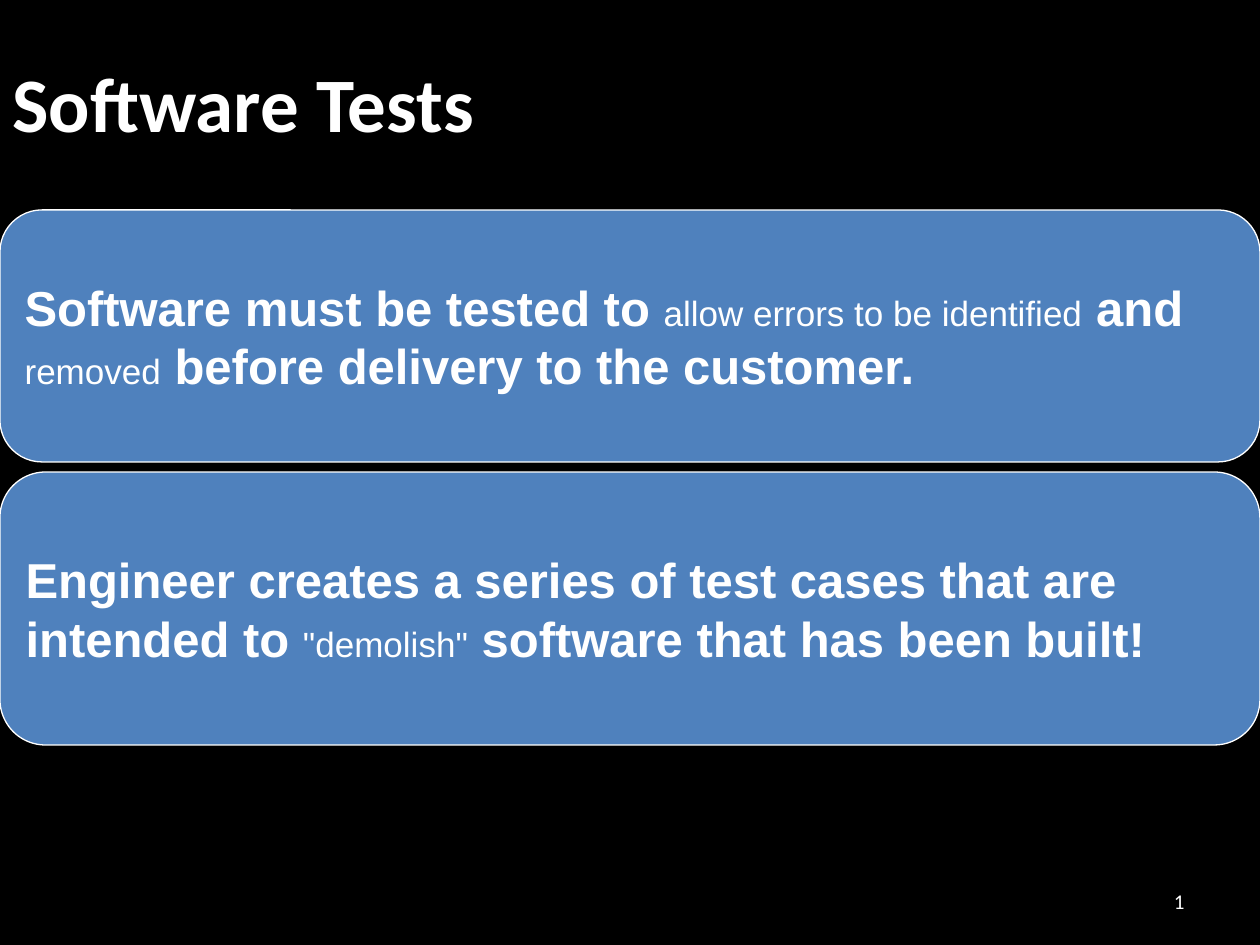
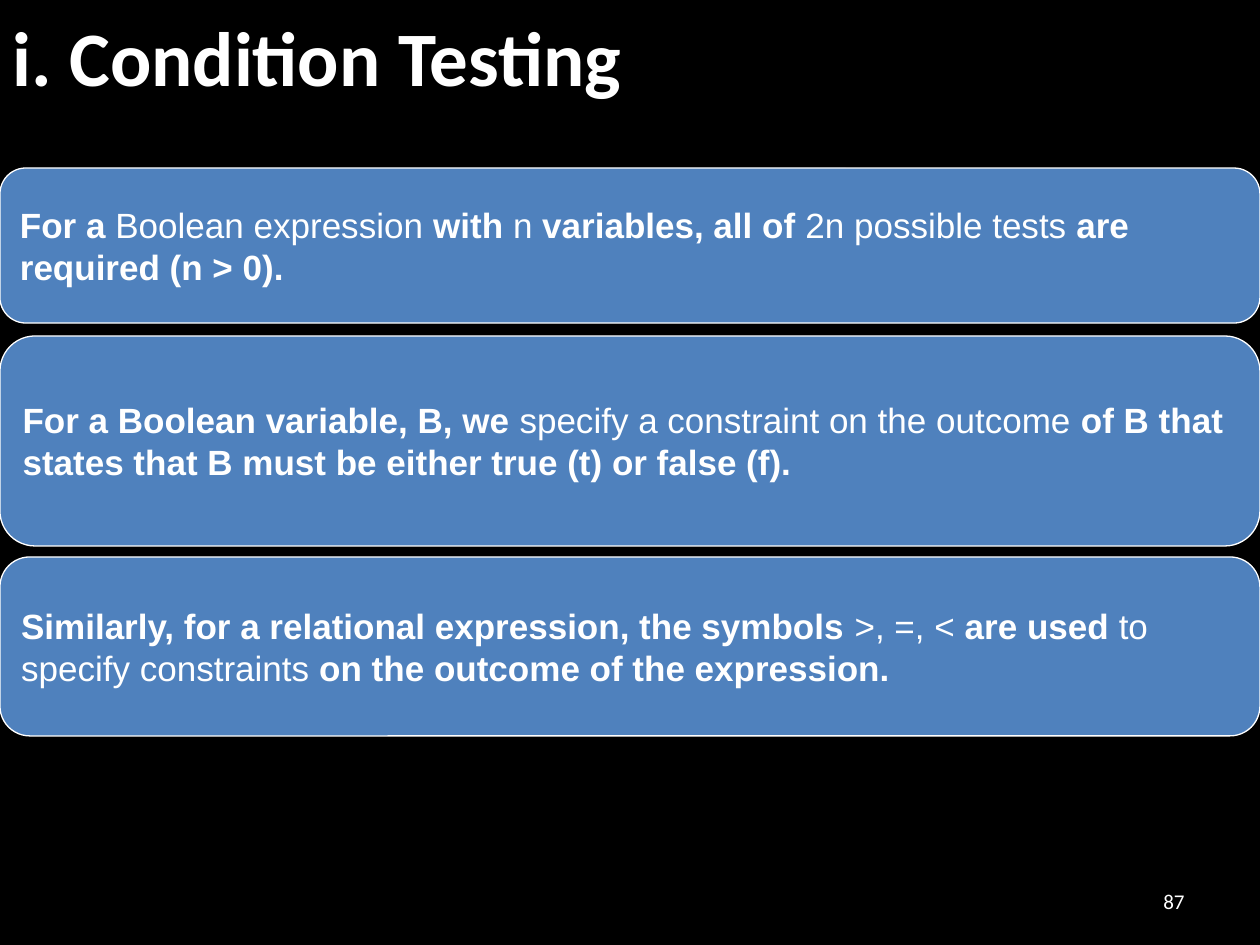
import dataclasses

import pptx
import pptx.dml.color
import pptx.enum.shapes
import pptx.enum.text
import pptx.util


@dataclasses.dataclass(frozen=True)
class Theme:
    """Colours, fonts and type sizes shared by the slides."""
    ground: str = "000000"
    panel: str = "4F81BD"
    ink: str = "FFFFFF"
    heading_font: str = "Calibri"
    body_font: str = "Arial"
    title_size: int = 44
    large_size: int = 28
    text_size: int = 20
    number_size: int = 12
    line_width: float = 0.75


THEME = Theme()
PX = 914400 / 126
SLIDE_BOX = (0, 0, 1260, 945)
TITLE_BOX = (0, 0, 1071, 203)
NUMBER_BOX = (903, 876, 294, 50)

SLIDES = [
    dict(title="Software Tests", raised=False, number="1", bold_size=THEME.large_size, panels=[
        (210, 252, ["Software must be tested to ", "allow errors to be identified", " and ",
                    "removed", " before delivery to the customer."]),
        (472, 273, ["Engineer creates a series of test cases that are intended to ",
                    "\"demolish\"", " software that has been built!"]),
    ]),
    dict(title="i. Condition Testing", raised=True, number="87", bold_size=THEME.text_size, panels=[
        (168, 155, ["For a ", "Boolean expression", " with ", "n", " variables, all of ",
                    "2n possible tests", " are required (n > 0)."]),
        (336, 210, ["For a Boolean variable, B, we ", "specify a constraint on the outcome",
                    " of B that states that B must be either true (t) or false (f)."]),
        (557, 179, ["Similarly, for a relational expression, the symbols ", ">, =, <",
                    " are used ", "to specify constraints",
                    " on the outcome of the expression."]),
    ]),
]


def emu(box):
    """Turn px lengths into EMU."""
    return [pptx.util.Emu(round(n * PX)) for n in box]


def rgb(colour):
    """Return the colour object of a hex string."""
    return pptx.dml.color.RGBColor.from_string(colour)


def add_run(p, text, font, size, bold=False):
    """Add one formatted run to a paragraph."""
    r = p.add_run()
    r.text = text
    r.font.name = font
    r.font.size = pptx.util.Pt(size)
    r.font.bold = bold
    r.font.color.rgb = rgb(THEME.ink)


def start_text(sp, align):
    """Prepare a wrapped, vertically centred frame and return its paragraph."""
    tf = sp.text_frame
    tf.word_wrap = True
    tf.auto_size = pptx.enum.text.MSO_AUTO_SIZE.NONE
    tf.vertical_anchor = pptx.enum.text.MSO_ANCHOR.MIDDLE
    p = tf.paragraphs[0]
    p.alignment = align
    return p


def add_title(s, box, text, raised):
    """Fill the title placeholder, raised by half a line if asked."""
    sp = s.shapes.title
    sp.left, sp.top, sp.width, sp.height = emu(box)
    p = start_text(sp, pptx.enum.text.PP_ALIGN.LEFT)
    add_run(p, text, THEME.heading_font, THEME.title_size, True)
    if raised:
        p.add_line_break()


def add_number(s, box, text):
    """Write the page number at the right of its box."""
    sp = s.shapes.add_textbox(*emu(box))
    p = start_text(sp, pptx.enum.text.PP_ALIGN.RIGHT)
    add_run(p, text, THEME.heading_font, THEME.number_size)


def add_panel(s, box, parts, bold_size):
    """Draw a rounded panel whose text alternates bold and regular parts."""
    sp = s.shapes.add_shape(pptx.enum.shapes.MSO_SHAPE.ROUNDED_RECTANGLE, *emu(box))
    sp.shadow.inherit = False
    sp.fill.solid()
    sp.fill.fore_color.rgb = rgb(THEME.panel)
    sp.line.color.rgb = rgb(THEME.ink)
    sp.line.width = pptx.util.Pt(THEME.line_width)
    p = start_text(sp, pptx.enum.text.PP_ALIGN.LEFT)
    for i, part in enumerate(parts):
        bold = i % 2 == 0
        add_run(p, part, THEME.body_font, bold_size if bold else THEME.text_size, bold)


def add_panel_slide(prs, title, raised, number, bold_size, panels):
    """Build a slide of full-width panels under a title."""
    s = prs.slides.add_slide(prs.slide_layouts.get_by_name("Title Only"))
    add_title(s, TITLE_BOX, title, raised)
    add_number(s, NUMBER_BOX, number)
    left, _, width, _ = SLIDE_BOX
    for top, height, parts in panels:
        add_panel(s, (left, top, width, height), parts, bold_size)


def main():
    """Build and save the presentation."""
    prs = pptx.Presentation()
    prs.slide_width, prs.slide_height = emu(SLIDE_BOX[2:])
    fill = prs.slide_master.background.fill
    fill.solid()
    fill.fore_color.rgb = rgb(THEME.ground)
    for content in SLIDES:
        add_panel_slide(prs, **content)
    prs.save("out.pptx")


if __name__ == "__main__":
    main()
